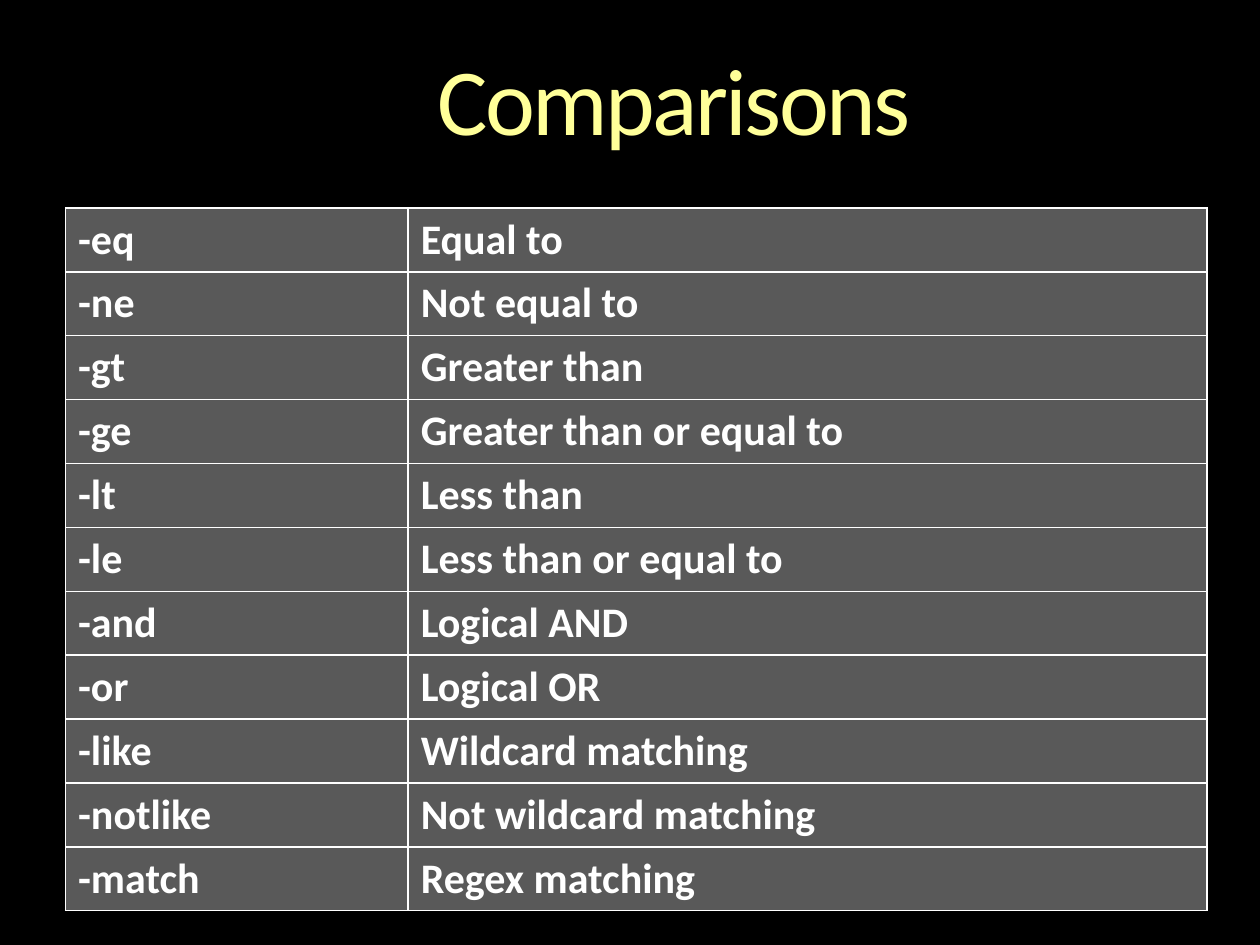
from lxml.etree import SubElement
from pptx import Presentation
from pptx.dml.color import RGBColor
from pptx.enum.text import MSO_ANCHOR, MSO_AUTO_SIZE, PP_ALIGN
from pptx.oxml.ns import qn
from pptx.util import Inches, Pt

COLORS = {"background": "000000", "title": "FFFF99", "cell": "595959",
          "text": "FFFFFF", "border": "FFFFFF"}

COMPARISONS = [
    ("-eq", "Equal to"),
    ("-ne", "Not equal to"),
    ("-gt", "Greater than"),
    ("-ge", "Greater than or equal to"),
    ("-lt", "Less than"),
    ("-le", "Less than or equal to"),
    ("-and", "Logical AND"),
    ("-or", "Logical OR"),
    ("-like", "Wildcard matching"),
    ("-notlike", "Not wildcard matching"),
    ("-match", "Regex matching"),
]


class SlideBuilder:
    """Holds the style and the current slide."""
    font_name = "Calibri"

    def __init__(self, slide):
        self.slide = slide
        slide.background.fill.solid()
        slide.background.fill.fore_color.rgb = self.color("background")

    def color(self, name):
        return RGBColor.from_string(COLORS[name])

    def add_run(self, paragraph, text, size, color, bold=False):
        run = paragraph.add_run()
        run.text = text
        run.font.name = self.font_name
        run.font.size = Pt(size)
        run.font.bold = bold
        run.font.color.rgb = self.color(color)
        return run

    def add_title(self, text, left, top, width, height):
        title = self.slide.shapes.title
        title.left, title.top = Inches(left), Inches(top)
        title.width, title.height = Inches(width), Inches(height)
        frame = title.text_frame
        frame.word_wrap = True
        frame.auto_size = MSO_AUTO_SIZE.NONE
        frame.vertical_anchor = MSO_ANCHOR.MIDDLE
        frame.margin_left = frame.margin_right = 0
        frame.margin_top = frame.margin_bottom = 0
        paragraph = frame.paragraphs[0]
        paragraph.alignment = PP_ALIGN.CENTER
        paragraph.line_spacing = 0.9
        run = self.add_run(paragraph, text, 54, "title")
        # Tighten the letters by 1.5 points
        run.font._element.set("spc", "-150")

    def add_borders(self, cell):
        properties = cell._tc.get_or_add_tcPr()
        for position, side in enumerate(("a:lnL", "a:lnR", "a:lnT", "a:lnB")):
            line = SubElement(properties, qn(side), w=str(Pt(1)))
            fill = SubElement(line, qn("a:solidFill"))
            SubElement(fill, qn("a:srgbClr"), val=COLORS["border"])
            # Borders come before the cell fill
            properties.insert(position, line)

    def add_table(self, rows, left, top, column_widths, row_height):
        frame = self.slide.shapes.add_table(
            len(rows), len(column_widths), Inches(left), Inches(top),
            Inches(sum(column_widths)), Inches(row_height * len(rows)))
        table = frame.table
        table.first_row = table.horz_banding = False
        for column, width in zip(table.columns, column_widths):
            column.width = Inches(width)
        for row, texts in zip(table.rows, rows):
            row.height = Inches(row_height)
            for cell, text in zip(row.cells, texts):
                cell.fill.solid()
                cell.fill.fore_color.rgb = self.color("cell")
                self.add_borders(cell)
                self.add_run(cell.text_frame.paragraphs[0], text, 24, "text", True)


presentation = Presentation()
presentation.slide_width, presentation.slide_height = Inches(10), Inches(7.5)

# Title Only layout
builder = SlideBuilder(presentation.slides.add_slide(presentation.slide_layouts[5]))
builder.add_title("Comparisons", 1.5, 0, 7.7, 1.67)

# Operators and their meanings
builder.add_table(COMPARISONS, 0.52, 1.65, (2.72, 6.34), 0.5)

presentation.save("out.pptx")
